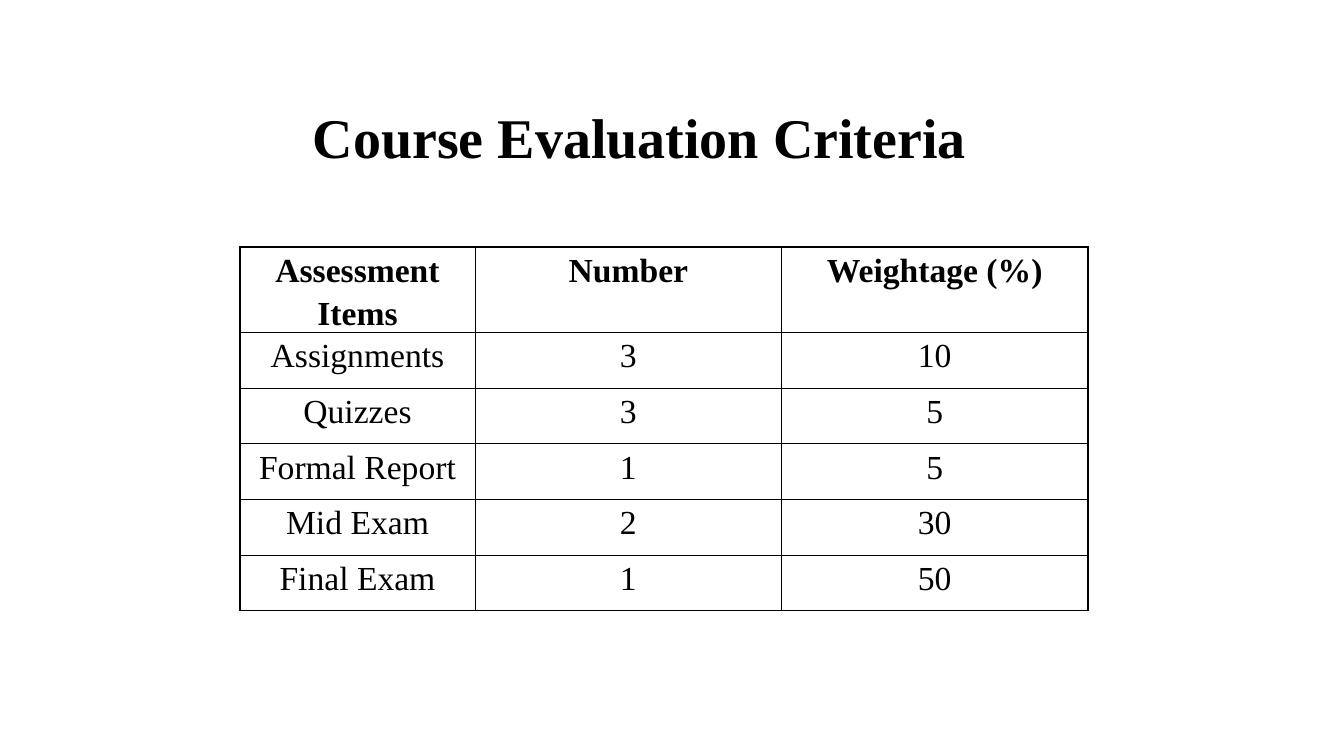
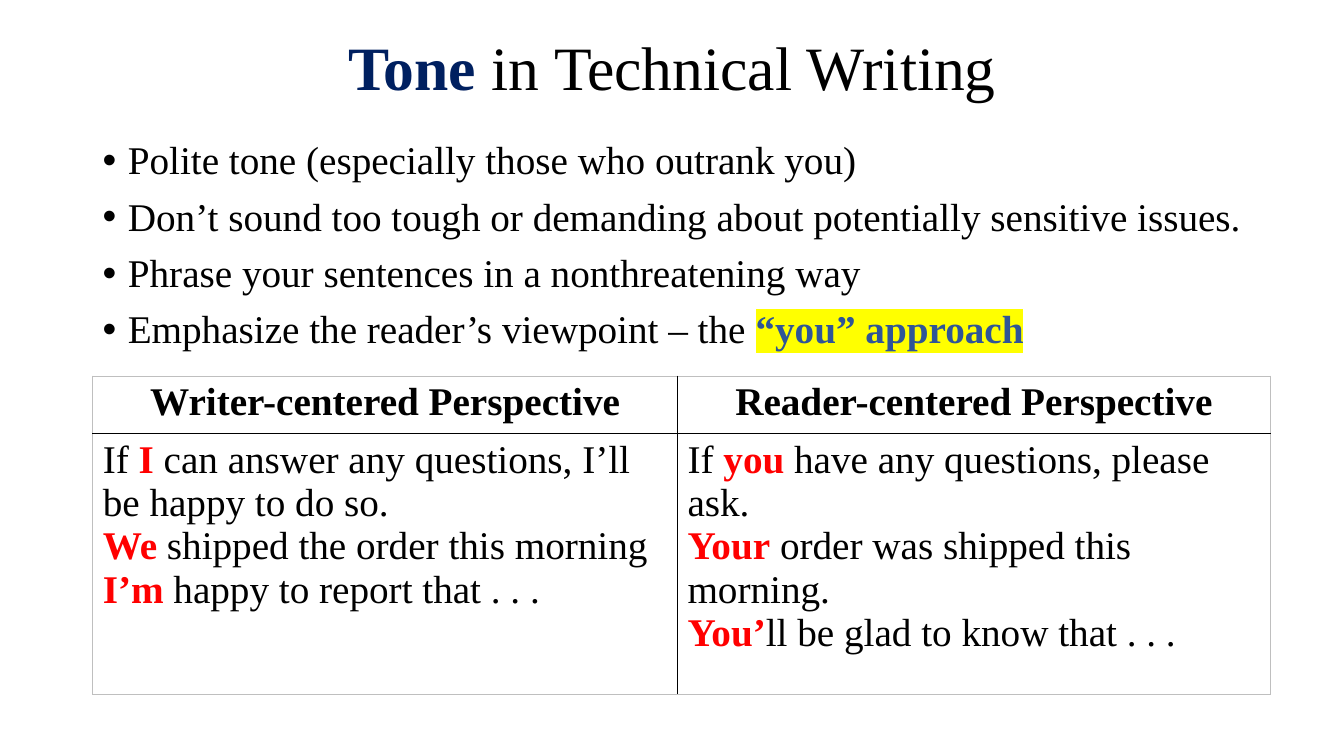
from dataclasses import dataclass

from lxml.etree import SubElement
from pptx import Presentation
from pptx.dml.color import RGBColor
from pptx.enum.text import MSO_ANCHOR, MSO_AUTO_SIZE, PP_ALIGN
from pptx.oxml.ns import qn
from pptx.util import Inches, Pt

SLIDE_WIDTH = Inches(13.33)
SLIDE_HEIGHT = Inches(7.5)
TITLE_ONLY = 5


@dataclass(frozen=True)
class Theme:
    font: str = "Times New Roman"
    ink: str = "000000"
    navy: str = "002060"
    blue: str = "2F5597"
    red: str = "FF0000"
    yellow: str = "FFFF00"
    frame: str = "BFBFBF"
    title_size: int = 40
    large_title_size: int = 44
    body_size: int = 28
    grid_size: int = 24


THEME = Theme()


@dataclass(frozen=True)
class Span:
    text: str
    color: str = THEME.ink
    bold: bool = False
    highlight: str | None = None


Line = tuple[Span, ...]


@dataclass(frozen=True)
class TextStyle:
    size: int
    align: PP_ALIGN = PP_ALIGN.LEFT
    line_spacing: float = 1.0
    space_before: float = 0
    space_after: float = 0
    bullet: bool = False


@dataclass(frozen=True)
class Frame:
    """Place and size in percent of the slide."""
    left: float
    top: float
    width: float
    height: float

    def lengths(self) -> tuple[int, int, int, int]:
        return across(self.left), down(self.top), across(self.width), down(self.height)


@dataclass(frozen=True)
class Cell:
    lines: tuple[Line, ...]
    style: TextStyle


@dataclass(frozen=True)
class TableLook:
    left: float
    top: float
    columns: tuple[float, ...]
    rows: tuple[float, ...]
    outer_color: str = THEME.ink
    outer_width: float = 1
    side_margin: float = 0.1
    end_margin: float = 0.05


def across(percent: float) -> int:
    return round(SLIDE_WIDTH * percent / 100)


def down(percent: float) -> int:
    return round(SLIDE_HEIGHT * percent / 100)


def plain(text: str) -> Line:
    return (Span(text),)


def strong(text: str) -> Line:
    return (Span(text, bold=True),)


def stressed(before: str, word: str, after: str) -> Line:
    spans = (Span(before), Span(word, THEME.red, True), Span(after))
    return tuple(span for span in spans if span.text)


def add_bullet(para) -> None:
    properties = para._p.get_or_add_pPr()
    properties.set("marL", str(Inches(0.25)))
    properties.set("indent", str(-Inches(0.25)))
    SubElement(properties, qn("a:buFont"), typeface="Arial")
    SubElement(properties, qn("a:buChar"), char="•")


def add_highlight(run, color: str) -> None:
    properties = run._r.get_or_add_rPr()
    highlight = SubElement(properties, qn("a:highlight"))
    SubElement(highlight, qn("a:srgbClr"), val=color)
    properties.find(qn("a:solidFill")).addnext(highlight)


def write_lines(text_frame, lines: tuple[Line, ...], style: TextStyle) -> None:
    for index, line in enumerate(lines):
        para = text_frame.add_paragraph() if index else text_frame.paragraphs[0]
        if style.bullet:
            add_bullet(para)
        para.alignment = style.align
        para.line_spacing = style.line_spacing
        para.space_before = Pt(style.space_before if index else 0)
        para.space_after = Pt(style.space_after)
        for span in line:
            run = para.add_run()
            run.text = span.text
            run.font.name = THEME.font
            run.font.size = Pt(style.size)
            run.font.bold = span.bold
            run.font.color.rgb = RGBColor.from_string(span.color)
            if span.highlight:
                add_highlight(run, span.highlight)


def add_titled_page(deck, frame: Frame, title: Line, size: int):
    page = deck.slides.add_slide(deck.slide_layouts[TITLE_ONLY])
    box = page.shapes.title
    box.left, box.top, box.width, box.height = frame.lengths()
    box.text_frame.auto_size = MSO_AUTO_SIZE.NONE
    box.text_frame.vertical_anchor = MSO_ANCHOR.MIDDLE
    write_lines(box.text_frame, (title,), TextStyle(size, PP_ALIGN.CENTER, 0.9))
    return page


def add_bullets(page, frame: Frame, lines: tuple[Line, ...]) -> None:
    box = page.shapes.add_textbox(*frame.lengths())
    box.text_frame.word_wrap = True
    style = TextStyle(THEME.body_size, line_spacing=0.9, space_before=10, bullet=True)
    write_lines(box.text_frame, lines, style)


def add_border(cell, side: str, color: str, width: float) -> None:
    line = SubElement(cell._tc.get_or_add_tcPr(), qn(f"a:ln{side}"), w=str(Pt(width)))
    fill = SubElement(line, qn("a:solidFill"))
    SubElement(fill, qn("a:srgbClr"), val=color)


def add_grid(page, look: TableLook, contents: list[list[Cell]]) -> None:
    frame = Frame(look.left, look.top, sum(look.columns), sum(look.rows))
    row_count, column_count = len(look.rows), len(look.columns)
    table = page.shapes.add_table(row_count, column_count, *frame.lengths()).table
    table.first_row = False
    table.horz_banding = False
    for column, width in zip(table.columns, look.columns):
        column.width = across(width)
    for row, height in zip(table.rows, look.rows):
        row.height = down(height)
    for row_index, row_contents in enumerate(contents):
        for column_index, content in enumerate(row_contents):
            cell = table.cell(row_index, column_index)
            outer_sides = {
                "L": column_index == 0,
                "R": column_index == column_count - 1,
                "T": row_index == 0,
                "B": row_index == row_count - 1,
            }
            for side, is_outer in outer_sides.items():
                color = look.outer_color if is_outer else THEME.ink
                add_border(cell, side, color, look.outer_width if is_outer else 1)
            cell.fill.background()
            cell.margin_left = cell.margin_right = Inches(look.side_margin)
            cell.margin_top = cell.margin_bottom = Inches(look.end_margin)
            write_lines(cell.text_frame, content.lines, content.style)


def build_evaluation(deck) -> None:
    page = add_titled_page(deck, Frame(4.43, 8.93, 86.27, 19.33),
                           strong("Course Evaluation Criteria"), THEME.title_size)
    header = ("Assessment Items", "Number", "Weightage (%)")
    items = (
        ("Assignments", "3", "10"),
        ("Quizzes", "3", "5"),
        ("Formal Report", "1", "5"),
        ("Mid Exam", "2", "30"),
        ("Final Exam", "1", "50"),
    )
    style = TextStyle(THEME.grid_size, PP_ALIGN.CENTER, 1.15, space_after=2)
    contents = [[Cell((strong(text),), style) for text in header]]
    contents += [[Cell((plain(text),), style) for text in item] for item in items]
    look = TableLook(17.85, 32.67, (17.5, 22.8, 22.8), (11.2,) + (7.37,) * len(items),
                     side_margin=0.07, end_margin=0)
    add_grid(page, look, contents)


def build_tone(deck) -> None:
    title = (Span("Tone", THEME.navy, True), Span(" in Technical Writing"))
    page = add_titled_page(deck, Frame(6.9, 4.13, 86.27, 10.27), title,
                           THEME.large_title_size)
    add_bullets(page, Frame(6.9, 18, 86.27, 31), (
        plain("Polite tone (especially those who outrank you)"),
        plain("Don’t sound too tough or demanding about potentially sensitive issues."),
        plain("Phrase your sentences in a nonthreatening way"),
        (Span("Emphasize the reader’s viewpoint – the "),
         Span("“you” approach", THEME.blue, True, THEME.yellow)),
    ))
    heading = TextStyle(THEME.body_size, PP_ALIGN.CENTER)
    examples = TextStyle(THEME.body_size)
    writer = (
        stressed("If ", "I", " can answer any questions, I’ll be happy to do so."),
        stressed("", "We", " shipped the order this morning"),
        stressed("", "I’m", " happy to report that . . ."),
    )
    reader = (
        stressed("If ", "you", " have any questions, please ask."),
        stressed("", "Your", " order was shipped this morning."),
        stressed("", "You’", "ll be glad to know that . . ."),
    )
    look = TableLook(6.9, 49.73, (43.51, 44.11), (7.07, 34.53),
                     outer_color=THEME.frame, outer_width=0.5)
    add_grid(page, look, [
        [Cell((strong(f"{role}-centered Perspective"),), heading)
         for role in ("Writer", "Reader")],
        [Cell(lines, examples) for lines in (writer, reader)],
    ])


def main() -> None:
    deck = Presentation()
    deck.slide_width = SLIDE_WIDTH
    deck.slide_height = SLIDE_HEIGHT
    build_evaluation(deck)
    build_tone(deck)
    deck.save("out.pptx")


if __name__ == "__main__":
    main()
